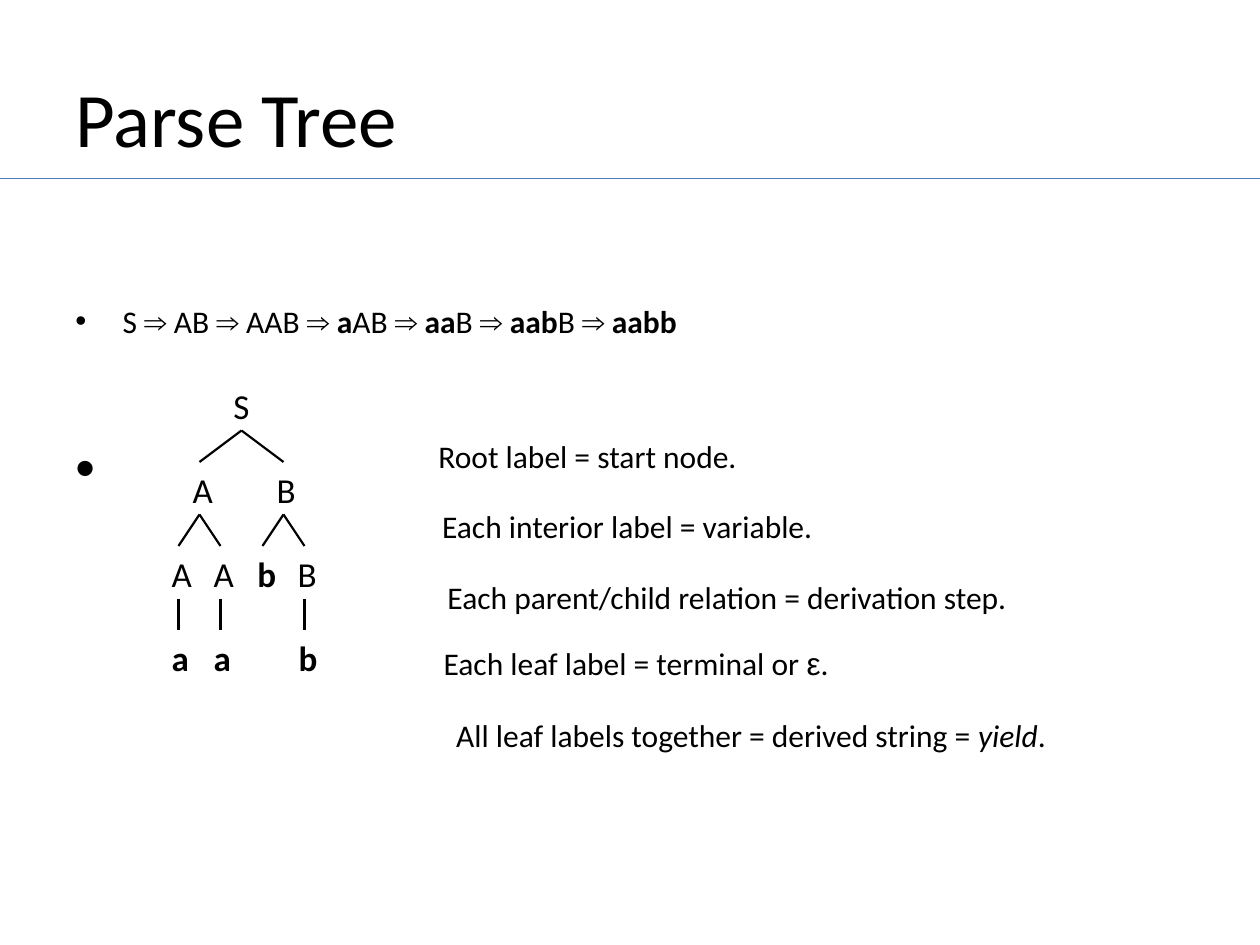
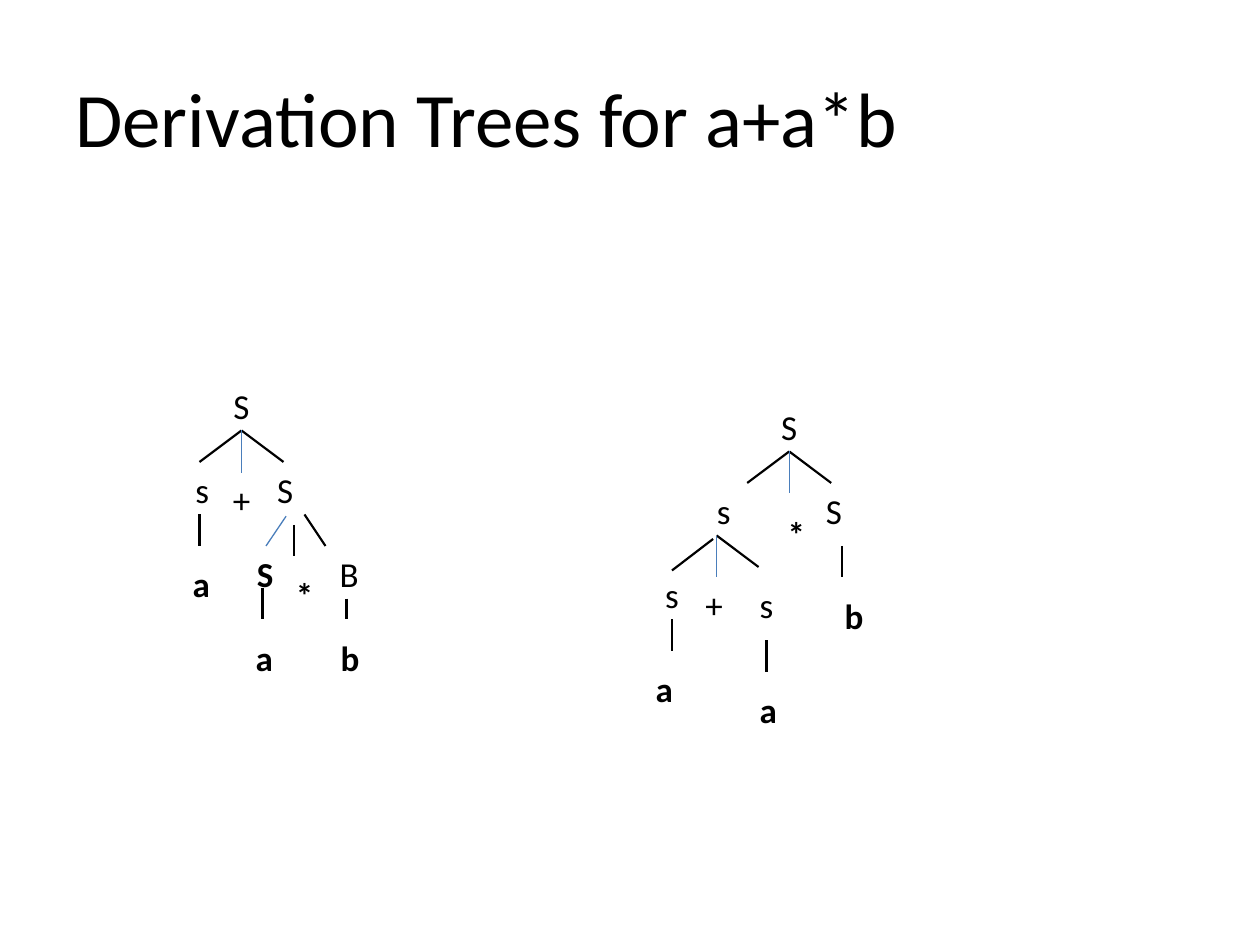
from lxml.etree import SubElement
from pptx import Presentation
from pptx.dml.color import RGBColor
from pptx.enum.shapes import MSO_CONNECTOR
from pptx.enum.text import MSO_ANCHOR, MSO_AUTO_SIZE, PP_ALIGN
from pptx.oxml.ns import qn
from pptx.util import Pt

BLACK, BLUE = "000000", "4A7EBB"
BODY_FONT, SYMBOL_FONT = "Calibri", "Arial"
LABEL_WIDTH, LABEL_HEIGHT = 24, 32
STEM = 18  # height of a branch between two levels

DERIVATION = [("", "S"), ("", "AB"), ("", "AAB"), ("a", "AB"),
              ("aa", "B"), ("aab", "B"), ("aabb", "")]

# left, top, width, runs of (text, style)
STATEMENTS = [
    (243.5, 246.2, 186, [("Root label = start node.", "")]),
    (245.5, 286.2, 228, [("Each interior label = variable.", "")]),
    (248.6, 327, 337, [("Each parent/child relation = derivation step.", "")]),
    (246.4, 364.5, 236, [("Each leaf label = terminal or ", ""), ("ε", "symbol"), (".", "")]),
    (253.6, 405.4, 353, [("All leaf labels together = derived string = ", ""),
                         ("yield", "italic"), (".", "")]),
]

# Labels: text, centre, top. Lower-case a and b are terminals.
PARSE_LABELS = [
    ("S", 138, 216), ("A", 115, 264), ("B", 163, 264),
    ("A", 103, 312), ("A", 127, 312), ("b", 152, 312), ("B", 175, 312),
    ("a", 103, 360), ("a", 127, 360), ("b", 175.5, 360),
]
SUM_FIRST_LABELS = [
    ("S", 138, 216), ("s", 115.5, 264), ("+", 138, 270), ("S", 163, 264),
    ("a", 115, 318), ("S", 151.5, 312, True), ("*", 174, 324), ("B", 199, 312),
    ("a", 151, 360), ("b", 199.5, 360),
]
PRODUCT_FIRST_LABELS = [
    ("S", 451, 228), ("s", 413.5, 276), ("*", 455, 289.5), ("S", 476.5, 276),
    ("s", 384, 324), ("+", 408, 330), ("s", 438, 330), ("b", 487.5, 336),
    ("a", 379.5, 378), ("a", 439, 390),
]


def color(hex_string):
    return RGBColor.from_string(hex_string)


def add_run(paragraph, text, size, style=""):
    """Style is empty, bold, italic or symbol."""
    run = paragraph.add_run()
    run.text = text
    font = run.font
    font.size = Pt(size)
    font.name = SYMBOL_FONT if style == "symbol" else BODY_FONT
    font.bold = style == "bold"
    font.italic = style == "italic"
    font.color.rgb = color(BLACK)


def add_text_box(slide, left, top, width, height, wrap=False):
    box = slide.shapes.add_textbox(Pt(left), Pt(top), Pt(width), Pt(height))
    frame = box.text_frame
    frame.word_wrap = wrap
    frame.auto_size = MSO_AUTO_SIZE.NONE if wrap else MSO_AUTO_SIZE.SHAPE_TO_FIT_TEXT
    return frame


def add_title(slide, text):
    frame = add_text_box(slide, 36, 21.6, 648, 90, wrap=True)
    frame.vertical_anchor = MSO_ANCHOR.MIDDLE
    add_run(frame.paragraphs[0], text, 44)


def add_line(slide, start, end, line_color=BLACK, width=1.25):
    line = slide.shapes.add_connector(MSO_CONNECTOR.STRAIGHT, *map(Pt, start + end))
    line.line.color.rgb = color(line_color)
    line.line.width = Pt(width)
    SubElement(line._element.spPr, qn("a:effectLst"))


def add_thin_line(slide, start, end):
    add_line(slide, start, end, BLUE, 0.75)


def add_stem(slide, x, top, height=STEM):
    add_line(slide, (x, top), (x, top + height))


def add_fork(slide, x, top, spread=24, middle=False):
    """Two branches from one node, with a thin middle one if asked."""
    for side in (-spread, spread):
        add_line(slide, (x, top), (x + side, top + STEM))
    if middle:
        add_thin_line(slide, (x, top), (x, top + 24))


def add_labels(slide, labels):
    for text, center, top, *bold in labels:
        frame = add_text_box(slide, center - LABEL_WIDTH / 2, top, LABEL_WIDTH, LABEL_HEIGHT)
        paragraph = frame.paragraphs[0]
        paragraph.alignment = PP_ALIGN.CENTER
        add_run(paragraph, text, 20, "bold" if bold or text in "ab*" else "")


def set_bullet(paragraph):
    properties = paragraph._p.get_or_add_pPr()
    properties.set("marL", str(Pt(27)))
    properties.set("indent", str(-Pt(27)))
    SubElement(properties, qn("a:buFont"), typeface=SYMBOL_FONT)
    SubElement(properties, qn("a:buChar"), char="•")


def add_derivation(slide):
    frame = add_text_box(slide, 36, 126, 648, 356, wrap=True)
    frame.margin_top = Pt(46.5)
    paragraph = frame.paragraphs[0]
    set_bullet(paragraph)
    for index, (terminals, variables) in enumerate(DERIVATION):
        if index:
            add_run(paragraph, " ", 18)
            add_run(paragraph, "⇒", 18, "symbol")
            add_run(paragraph, " ", 18)
        if terminals:
            add_run(paragraph, terminals, 18, "bold")
        if variables:
            add_run(paragraph, variables, 18)
    tree_bullet = frame.add_paragraph()
    tree_bullet.space_before = Pt(54)
    set_bullet(tree_bullet)
    add_run(tree_bullet, " ", 32)


def add_statements(slide):
    for left, top, width, runs in STATEMENTS:
        paragraph = add_text_box(slide, left, top, width, 29).paragraphs[0]
        paragraph.alignment = PP_ALIGN.LEFT
        for text, style in runs:
            add_run(paragraph, text, 18, style)


def add_parse_tree(slide):
    add_labels(slide, PARSE_LABELS)
    add_fork(slide, 138, 246)
    for x in (114, 162):
        add_fork(slide, x, 294, spread=12)
    for x in (102, 126, 174):
        add_stem(slide, x, 342)


def add_sum_first_tree(slide):
    add_labels(slide, SUM_FIRST_LABELS)
    add_fork(slide, 138, 246, middle=True)
    add_thin_line(slide, (163.5, 295), (152, 312))
    add_line(slide, (174, 294), (186, 312))
    for x, top in ((114, 294), (168, 300), (150, 336)):
        add_stem(slide, x, top)
    add_stem(slide, 198, 342, 12)


def add_product_first_tree(slide):
    add_labels(slide, PRODUCT_FIRST_LABELS)
    add_fork(slide, 451, 258, middle=True)
    add_line(slide, (407.5, 308), (384, 326))
    add_line(slide, (409.5, 306), (433.5, 324))
    add_thin_line(slide, (409.5, 306), (409.5, 330))
    for x, top in ((384, 354), (481, 312), (438, 366)):
        add_stem(slide, x, top)


def add_slide(presentation, title):
    slide = presentation.slides.add_slide(presentation.slide_layouts[6])
    add_title(slide, title)
    return slide


def main():
    presentation = Presentation()
    presentation.slide_width, presentation.slide_height = Pt(720), Pt(540)

    slide = add_slide(presentation, "Parse Tree")
    add_derivation(slide)
    add_parse_tree(slide)
    add_statements(slide)
    add_thin_line(slide, (0, 102), (720, 102))

    slide = add_slide(presentation, "Derivation Trees for a+a*b")
    add_sum_first_tree(slide)
    add_product_first_tree(slide)

    presentation.save("out.pptx")


if __name__ == "__main__":
    main()
